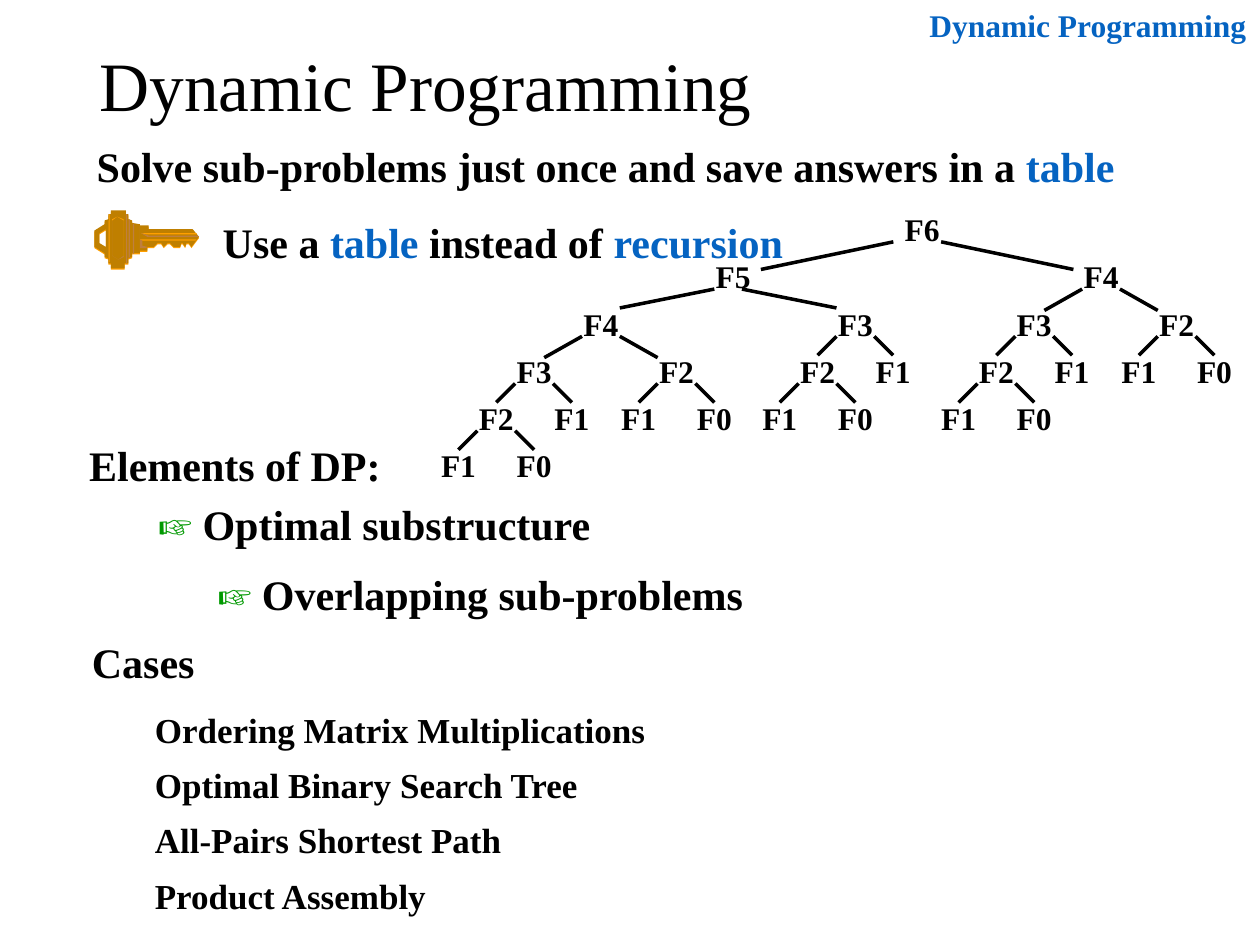
from lxml import etree
from pptx import Presentation
from pptx.dml.color import RGBColor
from pptx.enum.shapes import MSO_CONNECTOR, MSO_SHAPE
from pptx.enum.text import MSO_ANCHOR, MSO_AUTO_SIZE, PP_ALIGN
from pptx.oxml.ns import qn
from pptx.util import Pt

LEFT, CENTER, RIGHT = PP_ALIGN.LEFT, PP_ALIGN.CENTER, PP_ALIGN.RIGHT
MIDDLE = MSO_ANCHOR.MIDDLE
NO_AUTOFIT = MSO_AUTO_SIZE.NONE
STRAIGHT = MSO_CONNECTOR.STRAIGHT
RECTANGLE = MSO_SHAPE.RECTANGLE
FONT = "Times New Roman"
BLACK, BLUE, GREEN = "000000", "0563C1", "009900"
ORANGE, GOLD, BROWN = "FF9F00", "BF7F00", "BF7F3F"

rgb = RGBColor.from_string


def write(paragraph, *runs, size=24, bold=True, align=LEFT, spacing=None):
    """Fill a paragraph with (text, colour) runs."""
    paragraph.alignment = align
    paragraph.line_spacing = spacing
    for text, color in runs:
        run = paragraph.add_run()
        run.text = text
        run.font.name = FONT
        run.font.size = Pt(size)
        run.font.bold = bold
        run.font.color.rgb = rgb(color)


def add_frame(left, top, width, height):
    box = slide.shapes.add_textbox(Pt(left), Pt(top), Pt(width), Pt(height))
    box.text_frame.word_wrap = True
    return box.text_frame


prs = Presentation()
prs.slide_width, prs.slide_height = Pt(720), Pt(540)
slide = prs.slides.add_slide(prs.slide_layouts[5])

# Title
title = slide.shapes.title
title.left, title.top, title.width, title.height = Pt(49.7), Pt(28.8), Pt(620.6), Pt(47.5)
title.text_frame.auto_size = NO_AUTOFIT
title.text_frame.vertical_anchor = MIDDLE
write(title.text_frame.paragraphs[0], ("Dynamic Programming", BLACK),
      size=39.6, bold=False, spacing=0.8)

# Key: points in units of 0.72 pt
UNIT = 0.72
key_outline = [
    (75, 196), (75, 183), (79, 185), (79, 193), (84, 196), (84, 182), (79, 185),
    (75, 183), (83, 178), (83, 175), (86, 174), (86, 170), (88, 170), (88, 167),
    (100, 167), (100, 170), (102, 170), (102, 174), (105, 175), (105, 177),
    (111, 178), (111, 179), (118, 179), (118, 182), (153, 182), (158, 188),
    (152, 196), (150, 193), (148, 193), (147, 196), (145, 193), (144, 193),
    (143, 196), (138, 196), (135, 193), (133, 193), (130, 196), (128, 193),
    (125, 193), (122, 196), (117, 196), (117, 199), (111, 199), (111, 201),
    (105, 201), (105, 204), (102, 205), (102, 209), (99, 209), (99, 213),
    (88, 213), (88, 209), (86, 209), (86, 205), (83, 204), (83, 201)]
key_faces = [
    (ORANGE, [(x, y + 1) for x, y in key_outline]),
    (GOLD, key_outline),
    (BROWN, [(94, 206), (89, 203), (89, 174), (89.4, 174), (89.4, 203), (94, 205.5),
             (98, 203), (98, 204)]),
    (ORANGE, [(93, 172), (98, 174), (98, 204), (97.6, 203), (97.6, 175), (93, 172.5),
              (89, 175), (89, 174)]),
    (ORANGE, [(111, 190), (156, 190), (155, 191), (112, 191)]),
    (ORANGE, [(112, 185), (156, 185), (156, 186), (116, 186)]),
    (BROWN, [(112, 185), (118, 187), (157, 187), (158, 188), (117, 188)]),
    (BROWN, [(117, 196), (116, 197), (111, 197), (111, 199), (110.6, 199),
             (110.6, 179), (111, 179), (111, 190), (113, 191), (113, 195)]),
    (BROWN, [(102, 205), (102, 174), (103, 174), (103, 204)])]
key_ridges = [  # colour, centre x, top, width, height
    (ORANGE, 87, 170, 0.4, 38), (ORANGE, 86, 175, 0.4, 30),
    (BROWN, 100.5, 170, 1, 39), (BROWN, 106, 177.5, 1, 24)]

key_parts = []
for color, points in key_faces:
    builder = slide.shapes.build_freeform(*points[0], scale=Pt(UNIT))
    builder.add_line_segments(points[1:], close=True)
    key_parts.append((color, builder.convert_to_shape()))
for color, x, top, width, height in key_ridges:
    corner_and_size = [Pt(v * UNIT) for v in (x - width / 2, top, width, height)]
    key_parts.append((color, slide.shapes.add_shape(RECTANGLE, *corner_and_size)))
for color, part in key_parts:
    part.fill.solid()
    part.fill.fore_color.rgb = rgb(color)
    part.line.fill.background()
    part.shadow.inherit = False

# Statements: left, top, width, runs
statements = [
    (120.2, 120.2, 342, [("Use a ", BLACK), ("table", BLUE), (" instead of ", BLACK),
                         ("recursion", BLUE)]),
    (48.2, 77, 607, [("Solve sub-problems just once and save answers in a ", BLACK),
                     ("table", BLUE)]),
    (43.9, 247.7, 204.5, [("Elements of DP:", BLACK)]),
    (83.5, 281.5, 360, [("☞ ", GREEN), ("Optimal substructure", BLACK)]),
    (117.4, 321.1, 318.2, [("☞ ", GREEN), ("Overlapping sub-problems", BLACK)])]
for left, top, width, runs in statements:
    write(add_frame(left, top, width, 36).paragraphs[0], *runs)

# Fibonacci call tree: each F(n) calls F(n-1) and F(n-2)
LABEL_W, LABEL_H, LEVEL = 43.2, 28.8, 27
EDGE_TOP = 21.6
small_branch = (10.8, [(-21.6, -10.8, -21.6), (21.6, 10.8, 21.6)])
branches = {  # n: edge drop, then child, edge start and edge end offsets from centre
    6: (15.8, [(-108, -16.5, -92.2), (102.2, 10.8, 86.4)]),
    5: (10.8, [(-75.6, -10.8, -64.8), (69.8, 5, 59)]),
    4: (12.2, [(-38.2, -10.8, -32.4), (43.2, 10.8, 32.4)]),
    3: small_branch,
    2: small_branch}
calls = [(6, 527, 116.6)]
for n, x, top in calls:
    label = add_frame(x - LABEL_W / 2, top, LABEL_W, LABEL_H)
    write(label.paragraphs[0], (f"F{n}", BLACK), size=18, align=CENTER)
    if n < 2:
        continue
    drop, children = branches[n]
    for step, (child, start, end) in enumerate(children, 1):
        edge = slide.shapes.add_connector(
            STRAIGHT, Pt(x + start), Pt(top + EDGE_TOP),
            Pt(x + end), Pt(top + EDGE_TOP + drop))
        edge.line.color.rgb = rgb(BLACK)
        edge.line.width = Pt(2)
        etree.SubElement(edge._element.spPr, qn("a:effectLst"))
        calls.append((n - step, x + child, top + LEVEL))

# Cases
cases = add_frame(45.4, 352.8, 609, 170.6)
write(cases.paragraphs[0], ("Cases", BLACK), spacing=1.25)
for i, case in enumerate(["Ordering Matrix Multiplications", "Optimal Binary Search Tree",
                          "All-Pairs Shortest Path", "Product Assembly"]):
    item = cases.add_paragraph()
    write(item, (case, BLACK), size=20, spacing=1.25)
    item.space_before = Pt(1.6 if i else 6.5)
    item._p.get_or_add_pPr().set("marL", str(Pt(36)))

# Running header
header = add_frame(468, 0, 251.3, 28.8)
write(header.paragraphs[0], ("Dynamic Programming", BLUE), size=18, align=RIGHT)

prs.save("out.pptx")
